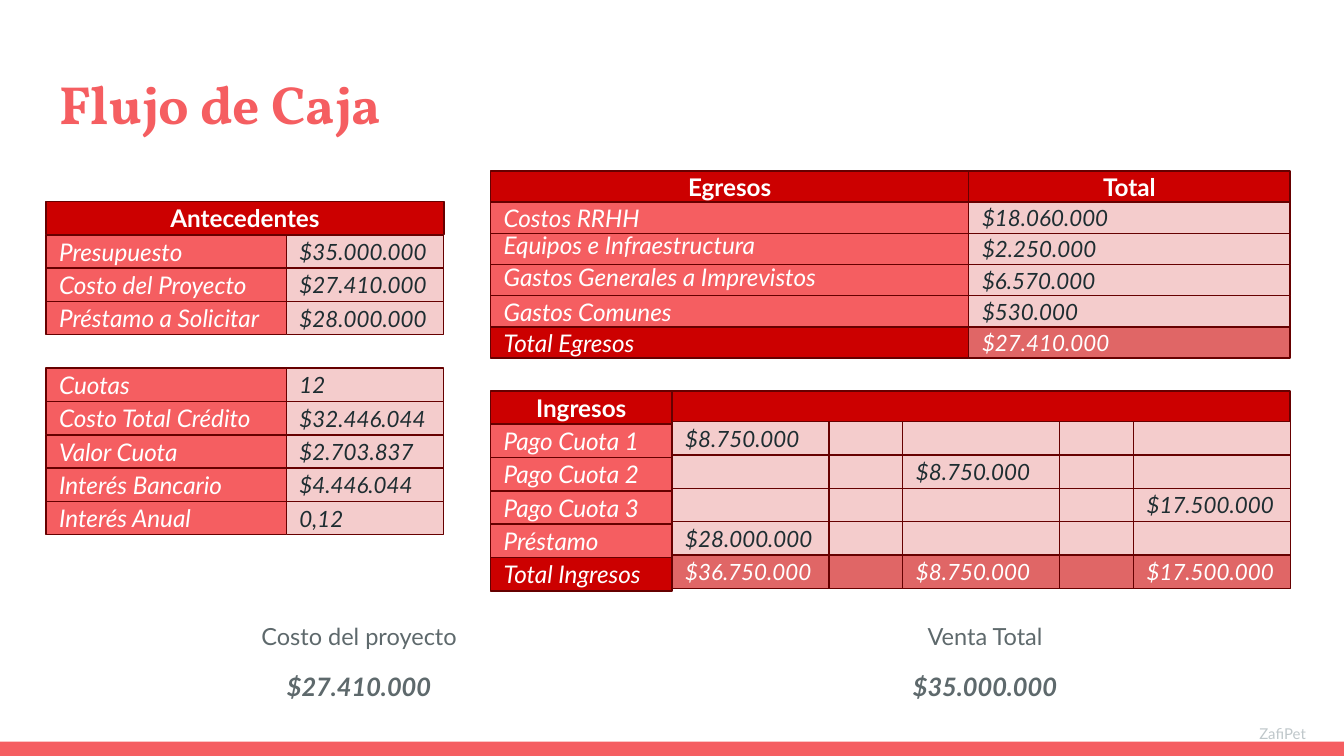
import pptx
import pptx.util
import pptx.dml.color
import pptx.enum.shapes
import pptx.enum.text

Cm = pptx.util.Cm
Pt = pptx.util.Pt
ALIGN = pptx.enum.text.PP_ALIGN
ANCHOR = pptx.enum.text.MSO_ANCHOR

CORAL, RED, PINK, ROSE = "F55E61", "CC0000", "F4CCCC", "E06666"
EDGE, WHITE, DARK, GRAY, PALE = "660000", "FFFFFF", "1E2D31", "5E696C", "BFC7CA"
ROW = 0.63    # row height of the loan and income grids
COST = 0.59   # row height of the expense grid
VALUE = 2.97  # width of an amount cell
GAP = 1.39    # width of a narrow cell between amounts


def color(code):
    return pptx.dml.color.RGBColor.from_string(code)


def frame(shape, anchor):
    text = shape.text_frame
    text.word_wrap = True
    text.vertical_anchor = anchor
    text.margin_left = text.margin_right = Cm(0.25)
    text.margin_top = text.margin_bottom = Cm(0.25)
    return text


def write(para, words, size, code, bold=False, italic=False, font="Lato"):
    run = para.add_run()
    run.text = words
    run.font.name = font
    run.font.size = Pt(size)
    run.font.bold = bold
    run.font.italic = italic
    run.font.color.rgb = color(code)


def block(slide, x, y, w, h, fill, edge=None):
    rect = slide.shapes.add_shape(
        pptx.enum.shapes.MSO_SHAPE.RECTANGLE, Cm(x), Cm(y), Cm(w), Cm(h))
    rect.shadow.inherit = False
    rect.fill.solid()
    rect.fill.fore_color.rgb = color(fill)
    if edge:
        rect.line.color.rgb = color(edge)
        rect.line.width = Pt(0.75)
    else:
        rect.line.fill.background()
    return rect


def cell(slide, x, y, w, h, fill, words="", size=13, code=WHITE,
         head=False, tight=False):
    rect = block(slide, x, y, w, h, fill, EDGE)
    if words:
        para = frame(rect, ANCHOR.MIDDLE).paragraphs[0]
        para.alignment = ALIGN.CENTER if head else ALIGN.LEFT
        if tight:
            para.line_spacing = 0.7
        write(para, words, size, code, bold=head, italic=not head)


def label(slide, x, y, w, h, words, total=False, tight=False):
    cell(slide, x, y, w, h, RED if total else CORAL, words, tight=tight)


def amount(slide, x, y, w, h, words, total=False):
    fill, code = (ROSE, WHITE) if total else (PINK, DARK)
    cell(slide, x, y, w, h, fill, words, 12, code)


def box(slide, x, y, w, h, anchor):
    return frame(slide.shapes.add_textbox(Cm(x), Cm(y), Cm(w), Cm(h)), anchor)


def loan(slide):
    x, top = 0.87, 3.81
    cell(slide, x, top, 7.52, ROW, RED, "Antecedentes", head=True)
    rows = [
        (1, "Presupuesto", "$35.000.000"),
        (2, "Costo del Proyecto", "$27.410.000"),
        (3, "Préstamo a Solicitar", "$28.000.000"),
        (5, "Cuotas", "12"),
        (6, "Costo Total Crédito", "$32.446.044"),
        (7, "Valor Cuota", "$2.703.837"),
        (8, "Interés Bancario", "$4.446.044"),
        (9, "Interés Anual", "0,12"),
    ]
    for line, name, value in rows:
        y = top + line * ROW
        label(slide, x, y, 4.95, ROW, name)
        amount(slide, 5.41, y, VALUE, ROW, value)


def costs(slide):
    x, mid, top, wide, slim = 9.27, 18.31, 3.23, 9.04, 6.07
    rows = [
        ("Costos RRHH", "$18.060.000"),
        ("Equipos e Infraestructura", "$2.250.000"),
        ("Gastos Generales a Imprevistos", "$6.570.000"),
        ("Gastos Comunes", "$530.000"),
        ("Total Egresos", "$27.410.000"),
    ]
    for line, (name, value) in enumerate(rows, 1):
        y = top + line * COST
        total = line == len(rows)
        label(slide, x, y, wide, COST, name, total, tight=line in (2, 3))
        amount(slide, mid, y, slim, COST, value, total)
    cell(slide, x, top, wide, COST, RED, "Egresos", head=True)
    cell(slide, mid, top, slim, COST, RED, "Total", head=True)


def income(slide):
    x, mid, top, wide = 9.27, 12.7, 7.39, 3.43
    first = 7.97  # top of the amount cells
    names = ["Pago Cuota 1", "Pago Cuota 2", "Pago Cuota 3", "Préstamo",
             "Total Ingresos"]
    # Amounts by column; the narrow columns between them stay blank
    blank = [""] * 5
    cols = [
        ["$8.750.000", "", "", "$28.000.000", "$36.750.000"],
        blank,
        ["", "$8.750.000", "", "", "$8.750.000"],
        blank,
        ["", "", "$17.500.000", "", "$17.500.000"],
    ]
    last = len(names) - 1
    cell(slide, mid, top, 11.68, ROW, RED)
    for line, name in enumerate(names):
        label(slide, x, top + (line + 1) * ROW, wide, ROW, name, line == last)
    cell(slide, x, top, wide, ROW, RED, "Ingresos", head=True)
    left = mid
    for place, col in enumerate(cols):
        width = GAP if place % 2 else VALUE
        for line, value in enumerate(col):
            amount(slide, left, first + line * ROW, width, ROW, value,
                   line == last)
        left += width


def result(slide, x, name, value):
    text = box(slide, x, 11.53, 11.83, 2.01, ANCHOR.MIDDLE)
    upper, lower = text.paragraphs[0], text.add_paragraph()
    for para in (upper, lower):
        para.alignment = ALIGN.CENTER
        para.line_spacing = 0.95
        para.space_before = Pt(12)
    lower.space_after = Pt(12)
    write(upper, name, 12.6, GRAY)
    write(lower, value, 13.6, GRAY, bold=True, italic=True)


def main():
    deck = pptx.Presentation()
    deck.slide_width, deck.slide_height = Cm(25.4), Cm(14.29)
    slide = deck.slides.add_slide(deck.slide_layouts[6])

    # Bottom band and title
    block(slide, 0, 14.02, 25.4, 0.27, CORAL)
    title = box(slide, 0.87, 1.09, 11.83, 1.73, ANCHOR.TOP)
    write(title.paragraphs[0], "Flujo de Caja", 28.8, CORAL, bold=True,
          font="Vollkorn")

    # Grids
    loan(slide)
    costs(slide)
    income(slide)

    # Results and footer
    result(slide, 0.87, "Costo del proyecto", "$27.410.000")
    result(slide, 12.7, "Venta Total", "$35.000.000")
    foot = box(slide, 23.55, 13.77, 1.6, 0.43, ANCHOR.BOTTOM)
    write(foot.paragraphs[0], "ZafiPet", 8, PALE)

    deck.save("out.pptx")


if __name__ == "__main__":
    main()
